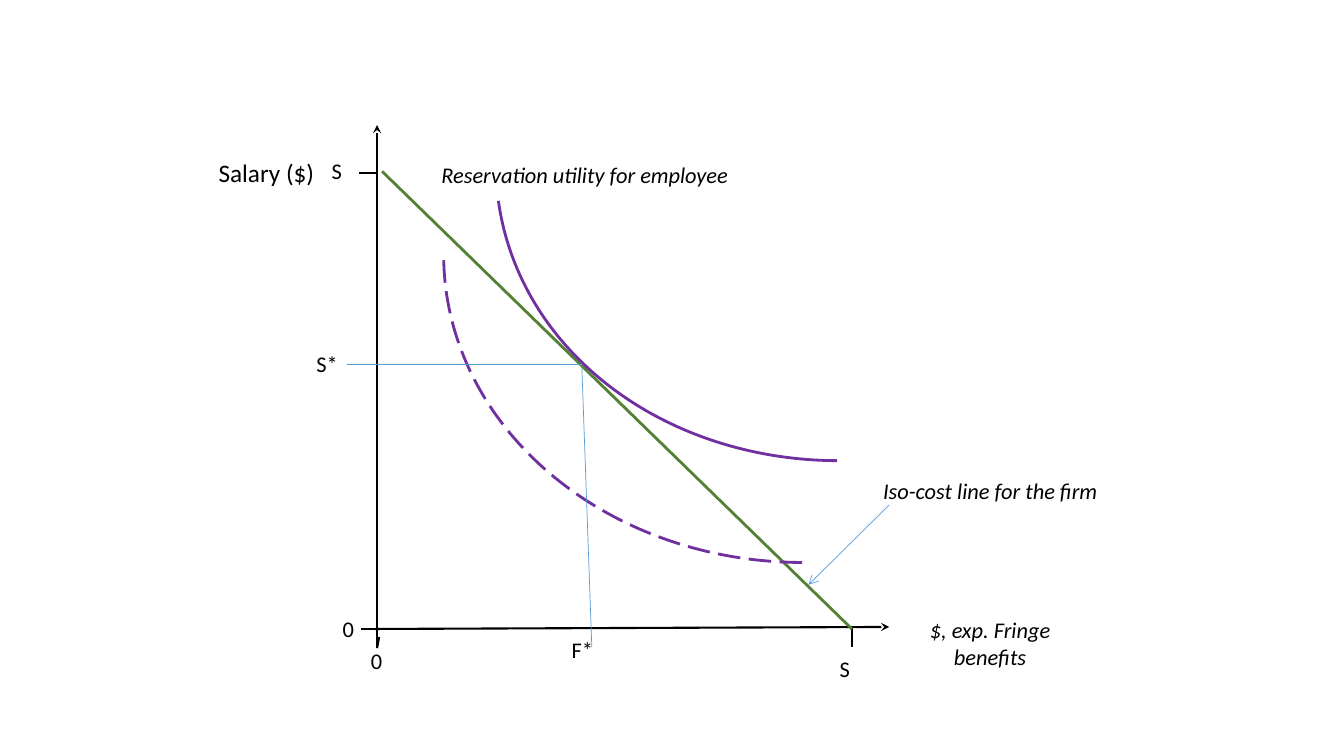
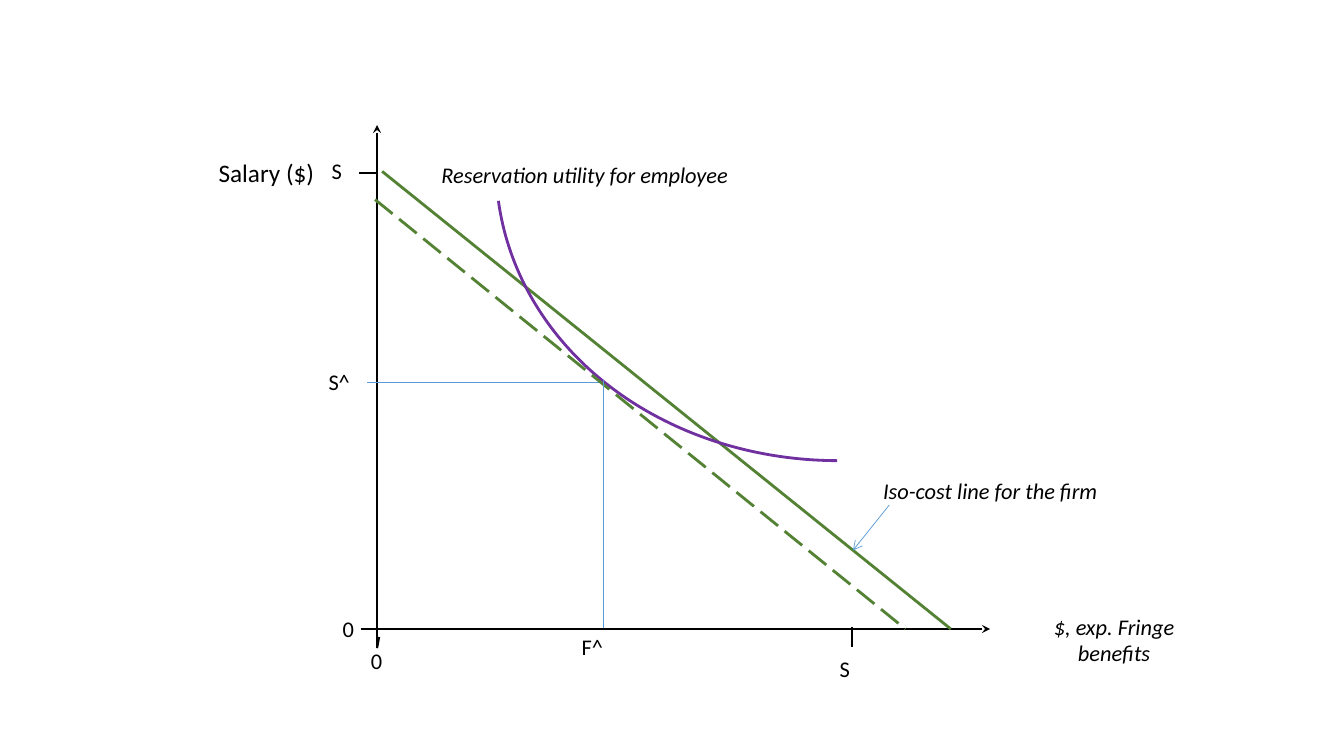
from dataclasses import dataclass
from typing import Optional

import pptx
import pptx.dml.color
import pptx.enum.dml
import pptx.enum.shapes
import pptx.enum.text
import pptx.oxml
import pptx.oxml.ns
import pptx.util
from pptx.util import Inches

Point = tuple[float, float]


@dataclass(frozen=True)
class Theme:
    font: str = "Calibri"
    text_pt: float = 16
    axis_title_pt: float = 18
    ink: str = "000000"
    cost: str = "548235"
    utility: str = "7030A0"
    guide: str = "5B9BD5"
    axis_pt: float = 1.5
    curve_pt: float = 2
    guide_pt: float = 0.5


THEME = Theme()


@dataclass(frozen=True)
class Label:
    text: str
    left: float
    top: float
    width: float = 0.61
    height: float = 0.37
    size: float = THEME.text_pt
    italic: bool = False
    centred: bool = False


@dataclass(frozen=True)
class Line:
    start: Point
    end: Point
    color: str = THEME.ink
    weight: float = THEME.axis_pt
    dashed: bool = False
    head: Optional[str] = None
    tail: Optional[str] = None


@dataclass(frozen=True)
class Curve:
    left: float
    top: float
    rotation: float
    start: Optional[float] = None
    dashed: bool = False
    width: float = 7.11
    height: float = 6.1


@dataclass(frozen=True)
class Diagram:
    x_axis: Line
    x_title: Point
    cost_end: Point
    cost_pointer: Point
    curves: list[Curve]
    lines: list[Line]
    labels: list[Label]


def guide(start: Point, end: Point, tail: Optional[str] = None) -> Line:
    return Line(start, end, THEME.guide, THEME.guide_pt, tail=tail)


def cost_line(start: Point, end: Point, dashed: bool = False) -> Line:
    return Line(start, end, THEME.cost, THEME.curve_pt, dashed)


ORIGIN_Y = 6.24
UTILITY = Curve(4.91, -1.54, 172.2, start=168.514)

FRAME_LINES = [
    Line((3.74, 1.24), (3.74, 6.42), head="stealth"),
    Line((3.74, 6.43), (3.76, 6.32)),
    Line((3.58, ORIGIN_Y), (3.76, ORIGIN_Y)),
    Line((8.45, 6.22), (8.45, 6.42)),
    Line((3.56, 1.72), (3.74, 1.72)),
]
FRAME_LABELS = [
    Label("Salary ($)", 2.07, 1.51, 1.37, 0.4, size=THEME.axis_title_pt),
    Label("0", 3.58, 6.37, 0.43),
    Label("0", 3.3, 6.05, 0.28),
    Label("S", 8.23, 6.45, 0.43),
    Label("S", 3.19, 1.51),
    Label("Reservation utility for employee", 4.28, 1.55, 3.99, italic=True),
    Label("Iso-cost line for the firm", 8.66, 4.68, 3.99, italic=True),
]

DIAGRAMS = [
    Diagram(
        x_axis=Line((8.82, 6.22), (3.72, ORIGIN_Y), head="stealth"),
        x_title=(8.97, 6.06),
        cost_end=(8.45, ORIGIN_Y),
        cost_pointer=(8.02, 5.8),
        curves=[UTILITY, Curve(4.4, -0.52, 180, dashed=True)],
        lines=[guide((5.77, 3.61), (3.44, 3.61)),
               guide((5.77, 3.61), (5.87, 6.42))],
        labels=[Label("S*", 3.04, 3.42), Label("F*", 5.57, 6.26)],
    ),
    Diagram(
        x_axis=Line((9.82, ORIGIN_Y), (3.72, ORIGIN_Y), head="stealth"),
        x_title=(10.2, 6.03),
        cost_end=(9.43, ORIGIN_Y),
        cost_pointer=(8.46, 5.46),
        curves=[UTILITY],
        lines=[guide((5.98, 3.79), (3.64, 3.79)),
               cost_line((3.72, 1.98), (8.98, ORIGIN_Y), dashed=True),
               guide((5.98, 3.77), (5.98, 6.23))],
        labels=[Label("S^", 3.16, 3.6), Label("F^", 5.67, 6.23)],
    ),
]


def rgb(color: str) -> pptx.dml.color.RGBColor:
    return pptx.dml.color.RGBColor.from_string(color)


def style_line(line, color: str, weight: float, dashed: bool) -> None:
    line.color.rgb = rgb(color)
    line.width = pptx.util.Pt(weight)
    if dashed:
        line.dash_style = pptx.enum.dml.MSO_LINE.LONG_DASH


def draw_line(s, spec_line: Line) -> None:
    ends = [Inches(v) for v in (*spec_line.start, *spec_line.end)]
    cx = s.shapes.add_connector(pptx.enum.shapes.MSO_CONNECTOR.STRAIGHT, *ends)
    style_line(cx.line, spec_line.color, spec_line.weight, spec_line.dashed)
    ln = cx.line._get_or_add_ln()
    for tag, kind in (("headEnd", spec_line.head), ("tailEnd", spec_line.tail)):
        if kind:
            end = pptx.oxml.parse_xml(
                f'<a:{tag} {pptx.oxml.ns.nsdecls("a")} type="{kind}"/>')
            ln.append(end)
    cx._element.spPr.append(pptx.oxml.parse_xml(
        f'<a:effectLst {pptx.oxml.ns.nsdecls("a")}/>'))


def draw_curve(s, curve: Curve) -> None:
    sp = s.shapes.add_shape(
        pptx.enum.shapes.MSO_SHAPE.ARC, Inches(curve.left), Inches(curve.top),
        Inches(curve.width), Inches(curve.height))
    sp.rotation = curve.rotation
    if curve.start is not None:
        sp.adjustments[0] = curve.start
    sp.shadow.inherit = False
    sp.fill.background()
    style_line(sp.line, THEME.utility, THEME.curve_pt, curve.dashed)


def draw_label(s, label: Label) -> None:
    box = s.shapes.add_textbox(Inches(label.left), Inches(label.top),
                               Inches(label.width), Inches(label.height))
    tf = box.text_frame
    tf.word_wrap = True
    tf.auto_size = pptx.enum.text.MSO_AUTO_SIZE.SHAPE_TO_FIT_TEXT
    p = tf.paragraphs[0]
    p.text = label.text
    if label.centred:
        p.alignment = pptx.enum.text.PP_ALIGN.CENTER
    p.font.name = THEME.font
    p.font.size = pptx.util.Pt(label.size)
    p.font.italic = label.italic
    p.font.color.rgb = rgb(THEME.ink)


def draw_diagram(s, diagram: Diagram) -> None:
    x_title = Label("$, exp. Fringe benefits", *diagram.x_title, 1.7, 0.64,
                    italic=True, centred=True)
    for line in [*FRAME_LINES, diagram.x_axis,
                 cost_line((3.79, 1.7), diagram.cost_end)]:
        draw_line(s, line)
    for curve in diagram.curves:
        draw_curve(s, curve)
    pointer = guide((8.82, 5.01), diagram.cost_pointer, tail="arrow")
    for line in [*diagram.lines, pointer]:
        draw_line(s, line)
    for label in [*FRAME_LABELS, x_title, *diagram.labels]:
        draw_label(s, label)


def main() -> None:
    prs = pptx.Presentation()
    prs.slide_width = Inches(13.33)
    prs.slide_height = Inches(7.5)
    blank = prs.slide_layouts[6]
    for diagram in DIAGRAMS:
        draw_diagram(prs.slides.add_slide(blank), diagram)
    prs.save("out.pptx")


if __name__ == "__main__":
    main()
